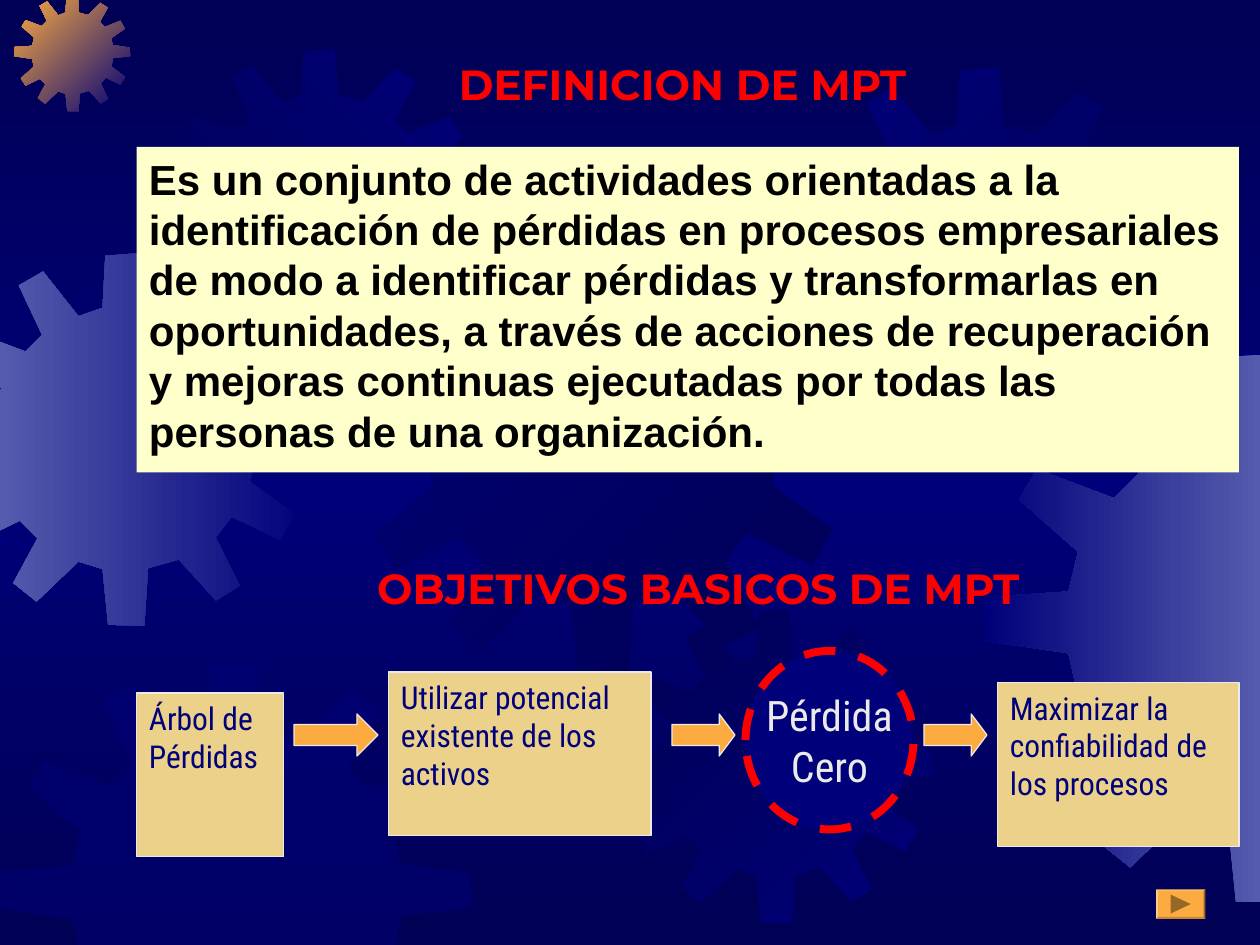
from copy import deepcopy

from lxml.etree import SubElement
from pptx import Presentation
from pptx.dml.color import RGBColor
from pptx.enum.dml import MSO_LINE
from pptx.enum.shapes import MSO_SHAPE
from pptx.enum.text import MSO_ANCHOR, PP_ALIGN
from pptx.oxml.ns import qn
from pptx.util import Inches, Pt

# The slide is a grid of 120 columns by 90 rows; every place is given in its cells.
COLUMNS, ROWS = 120, 90
CELL = Inches(10) / COLUMNS

COLORS = {
    "night": "000054", "navy": "00007A", "steel": "555BAD", "orange": "FCAB40",
    "bronze": "976726", "cream": "FFFFCC", "sand": "EBD189", "pale": "EAEAEA",
    "red": "FF0000", "black": "000000",
}

TITLES = [
    ("OBJETIVOS BASICOS DE MPT", (32, 53, 69, 6)),
    ("DEFINICION DE MPT", (22, 5, 86, 6)),
]
DEFINITION = (
    "Es un conjunto de actividades orientadas a la identificación de pérdidas en "
    "procesos empresariales de modo a identificar pérdidas y transformarlas en "
    "oportunidades, a través de acciones de recuperación y mejoras continuas "
    "ejecutadas por todas las personas de una organización."
)
GOAL = ["Pérdida", "Cero"]
CARD_HEIGHT = 15.6
CARDS = [  # text, left, top, width
    ("Árbol de Pérdidas", 13, 66, 14),
    ("Utilizar potencial existente de los activos", 37, 64, 25),
    ("Maximizar la confiabilidad de los procesos", 95, 65, 23),
]
ARROW_TOP, ARROW_HEIGHT = 68, 4
ARROWS = [(28, 8), (64, 6), (88, 6)]  # left, width

GEARS = [  # left, top, diameter, start colour, end colour, clockwise angle
    (-5.9, 24.1, 35.5, "navy", "steel", 180),
    (1.4, -0.4, 11, "navy", "orange", 225),
    (15.6, 4.7, 29.8, "navy", "night", 135),
    (33.2, 16.7, 48.1, "night", "navy", 225),
    (0, 63, 44.9, "navy", None, None),
    (58.9, 58.1, 29.8, "navy", "night", 225),
    (74.2, 6.4, 38.4, "night", "navy", 225),
    (93.8, 33.6, 52.4, "steel", "navy", 180),
]
GEAR_SIZE = 401
GEAR_OUTLINE = [  # one row for each tooth
    (255, 67), (223, 59), (219, 0), (180, 3),
    (177, 59), (151, 68), (113, 20), (87, 35),
    (112, 88), (94, 106), (38, 85), (25, 107),
    (68, 145), (61, 174), (1, 178), (0, 210),
    (61, 219), (67, 246), (22, 287), (38, 312),
    (88, 288), (107, 307), (81, 355), (106, 375),
    (151, 332), (177, 340), (183, 400), (222, 401),
    (226, 339), (259, 330), (299, 374), (325, 358),
    (299, 306), (316, 284), (368, 309), (384, 281),
    (336, 246), (342, 216), (401, 210), (400, 180),
    (341, 171), (335, 148), (383, 114), (367, 87),
    (313, 109), (296, 91), (323, 41), (297, 25),
]


def rgb(color):
    return RGBColor.from_string(COLORS[color])


def cells(*lengths):
    return [round(length * CELL) for length in lengths]


def paint_gradient(fill, owner, colors, angle):
    """Spread the colours evenly along a clockwise angle."""
    fill.gradient()
    fill.gradient_angle = 360 - angle
    stop_list = owner.find(".//" + qn("a:gsLst"))
    while len(stop_list) < len(colors):
        stop_list.append(deepcopy(stop_list[0]))
    for index, (stop, color) in enumerate(zip(fill.gradient_stops, colors)):
        stop.position = index / (len(colors) - 1)
        stop.color.rgb = rgb(color)


def clip(points, axis, limit, side):
    """Keep the part of a polygon where side * (coordinate - limit) >= 0."""
    kept = []
    for before, point in zip(points[-1:] + points[:-1], points):
        gap_before = side * (before[axis] - limit)
        gap = side * (point[axis] - limit)
        if gap_before * gap < 0:
            share = gap_before / (gap_before - gap)
            kept.append(tuple(a + share * (b - a) for a, b in zip(before, point)))
        if gap >= 0:
            kept.append(point)
    return kept


def add_polygon(slide, points):
    corners = [cells(*point) for point in points]
    builder = slide.shapes.build_freeform(*corners[0], scale=1.0)
    builder.add_line_segments(corners[1:], close=True)
    polygon = builder.convert_to_shape()
    polygon.shadow.inherit = False
    polygon.line.fill.background()
    return polygon


def add_gear(slide, left, top, diameter, start, end, angle):
    scale = diameter / GEAR_SIZE
    points = [(left + x * scale, top + y * scale) for x, y in GEAR_OUTLINE]
    for axis, limit in enumerate((COLUMNS, ROWS)):
        points = clip(clip(points, axis, 0, 1), axis, limit, -1)
    gear = add_polygon(slide, points)
    if end:
        paint_gradient(gear.fill, gear._element, (start, end), angle)
        return
    gear.fill.solid()
    gear.fill.fore_color.rgb = rgb(start)
    color = gear._element.spPr.find(".//" + qn("a:srgbClr"))
    SubElement(color, qn("a:alpha")).set("val", "50000")


def add_figure(slide, preset, box, fill, line=None, width=0.75):
    figure = slide.shapes.add_shape(preset, *cells(*box))
    figure.shadow.inherit = False
    figure.fill.solid()
    figure.fill.fore_color.rgb = rgb(fill)
    if line:
        figure.line.color.rgb = rgb(line)
        figure.line.width = Pt(width)
    else:
        figure.line.fill.background()
    return figure


def write(holder, lines, font, size, color, bold=False, align=PP_ALIGN.LEFT,
          anchor=MSO_ANCHOR.TOP, wrap=True):
    frame = holder.text_frame
    frame.word_wrap = wrap
    frame.vertical_anchor = anchor
    for index, line in enumerate(lines):
        paragraph = frame.add_paragraph() if index else frame.paragraphs[0]
        paragraph.alignment = align
        run = paragraph.add_run()
        run.text = line
        run.font.name, run.font.size, run.font.bold = font, Pt(size), bold
        run.font.color.rgb = rgb(color)


def main():
    deck = Presentation()
    deck.slide_width, deck.slide_height = cells(COLUMNS, ROWS)
    slide = deck.slides.add_slide(deck.slide_layouts[6])
    paint_gradient(slide.background.fill, slide._element, ("night", "navy", "night"), 90)
    for gear in GEARS:
        add_gear(slide, *gear)

    add_figure(slide, MSO_SHAPE.RECTANGLE, (13, 14, 105, 31), "cream")
    definition = slide.shapes.add_textbox(*cells(13, 14, 106, 30))
    write(definition, [DEFINITION], "Arial", 24, "black", bold=True)

    goal = add_figure(slide, MSO_SHAPE.OVAL, (71, 62, 16, 17), "navy", "red", 4.5)
    goal.line.dash_style = MSO_LINE.DASH
    write(goal, GOAL, "Roboto Condensed", 24, "pale", align=PP_ALIGN.CENTER,
          anchor=MSO_ANCHOR.MIDDLE, wrap=False)

    for text, left, top, width in CARDS:
        card = add_figure(slide, MSO_SHAPE.RECTANGLE, (left, top, width, CARD_HEIGHT),
                          "sand", "pale")
        write(card, [text], "Roboto Condensed", 18, "navy")
    for left, width in ARROWS:
        arrow = add_figure(slide, MSO_SHAPE.RIGHT_ARROW,
                           (left, ARROW_TOP, width, ARROW_HEIGHT), "orange", "pale")
        arrow.adjustments[1] = width / ARROW_HEIGHT / 4

    for text, box in TITLES:
        title = slide.shapes.add_textbox(*cells(*box))
        write(title, [text], "Montserrat", 24, "red", bold=True, align=PP_ALIGN.CENTER)

    button = add_figure(slide, MSO_SHAPE.BEVEL, (110.1, 84.7, 4.7, 2.8), "orange")
    button.adjustments[0] = 0.06
    play = add_polygon(slide, [(111.5, 85.2), (113.4, 86.1), (111.5, 87)])
    play.fill.solid()
    play.fill.fore_color.rgb = rgb("bronze")

    deck.save("out.pptx")


if __name__ == "__main__":
    main()
